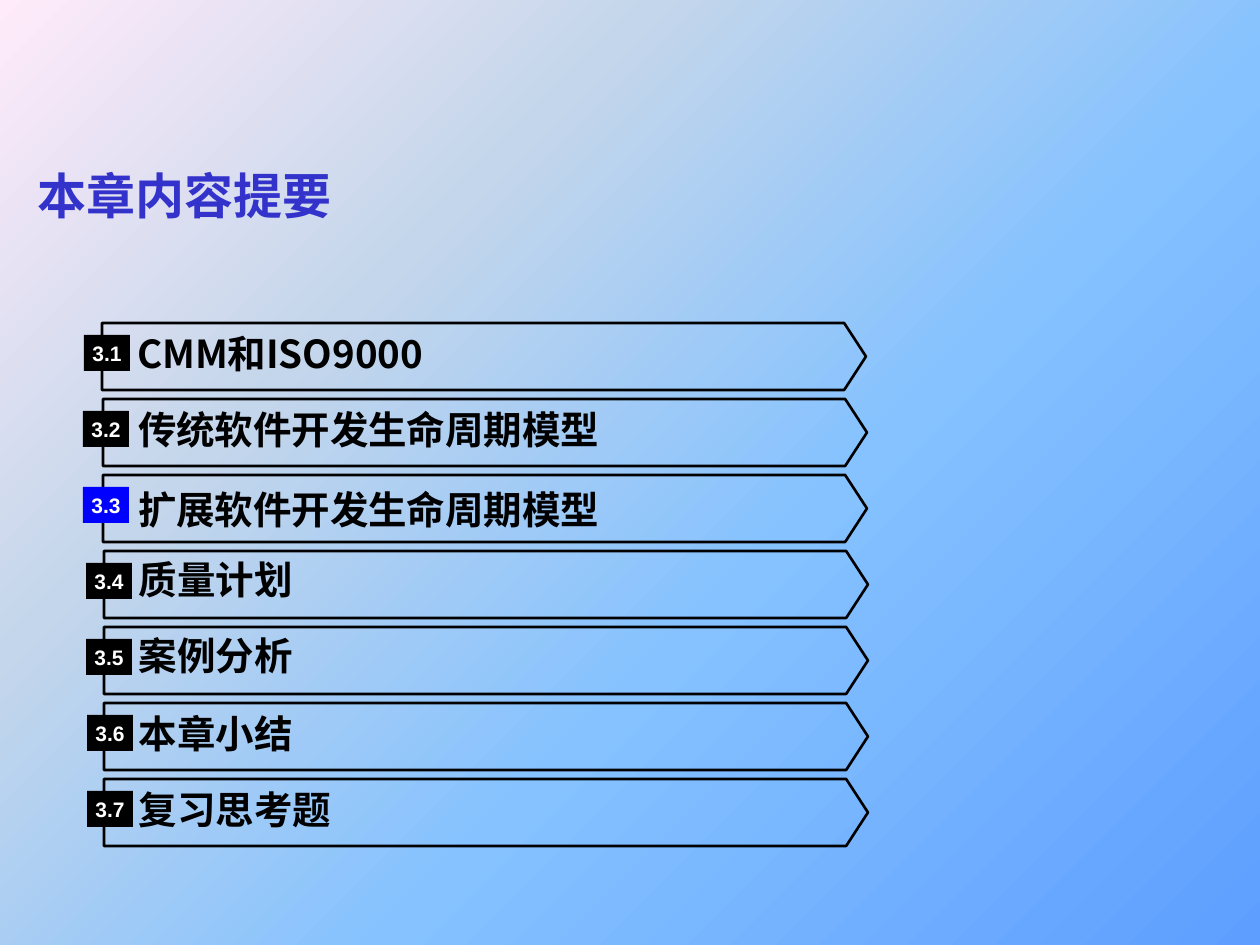
"""Build the chapter outline slide with seven numbered arrow bars."""
from lxml.etree import SubElement
from pptx import Presentation
from pptx.dml.color import RGBColor
from pptx.enum.shapes import MSO_SHAPE as Shape
from pptx.enum.text import MSO_ANCHOR as Anchor, MSO_AUTO_SIZE as AutoSize, PP_ALIGN as Align
from pptx.oxml.ns import qn
from pptx.util import Emu, Pt

PIXEL = 914400 // 126
CJK_FONT = "Noto Sans CJK SC"
BLACK, WHITE, TITLE_BLUE, CURRENT_BLUE = "000000", "FFFFFF", "3333CC", "0000FF"
GRADIENT = [(0, "5E9EFF"), (40, "85C2FF"), (70, "C4D6EB"), (100, "FFEBFA")]

ROW_TOP, ROW_PITCH = 323, 76
BADGE_DROP = 12
ROWS = [
    ("CMM和ISO9000", CJK_FONT, 102, 84, 5),
    ("传统软件开发生命周期模型", "Times New Roman", 103, 83, 5),
    ("扩展软件开发生命周期模型", "Times New Roman", 103, 83, 9),
    ("质量计划", "Times New Roman", 104, 86, 3),
    ("案例分析", "Times New Roman", 104, 86, 3),
    ("本章小结", "Times New Roman", 104, 87, 5),
    ("复习思考题", "Times New Roman", 104, 87, 5),
]


def color(value):
    return RGBColor.from_string(value)


def write(box, text, font, size, ink, align=Align.LEFT, margin=0):
    frame = box.text_frame
    settings = {"word_wrap": True, "vertical_anchor": Anchor.MIDDLE}
    for side in ("left", "top", "right", "bottom"):
        settings["margin_" + side] = Emu(margin * PIXEL)
    for name, value in settings.items():
        setattr(frame, name, value)
    para = frame.paragraphs[0]
    para.alignment = align
    span = para.add_run()
    span.text = text
    for name, value in {"name": font, "size": Pt(size), "bold": True}.items():
        setattr(span.font, name, value)
    span.font.color.rgb = color(ink)
    SubElement(span.font._element, qn("a:ea"), typeface=CJK_FONT)


deck = Presentation()
deck.slide_width, deck.slide_height = Emu(1260 * PIXEL), Emu(945 * PIXEL)
page = deck.slides.add_slide(deck.slide_layouts[6])

fill = page.background.fill
fill.gradient()
fill.gradient_angle = 135
stops = page.background._cSld.find(".//" + qn("a:gsLst"))
stops.clear()
for percent, shade in GRADIENT:
    stop = SubElement(stops, qn("a:gs"), pos=str(percent * 1000))
    SubElement(stop, qn("a:srgbClr"), val=shade)

title = page.shapes.add_textbox(*[Emu(n * PIXEL) for n in (25, 145, 1211, 100)])
write(title, "本章内容提要", "Arial", 28, TITLE_BLUE, margin=13)

for index, (topic, font, bar_left, badge_left, label_drop) in enumerate(ROWS):
    top = ROW_TOP + index * ROW_PITCH
    number = f"3.{index + 1}"

    bar = page.shapes.add_shape(
        Shape.PENTAGON, *[Emu(n * PIXEL) for n in (bar_left, top, 764, 67)])
    bar.adjustments[0] = 0.325
    bar.shadow.inherit = False
    bar.fill.background()
    bar.line.color.rgb = color(BLACK)
    bar.line.width = Pt(1.5)

    label = page.shapes.add_textbox(
        *[Emu(n * PIXEL) for n in (bar_left + 35, top + label_drop, 678, 50)])
    write(label, topic, font, 22, BLACK)
    label.text_frame.auto_size = AutoSize.SHAPE_TO_FIT_TEXT

    badge = page.shapes.add_shape(
        Shape.RECTANGLE, *[Emu(n * PIXEL) for n in (badge_left, top + BADGE_DROP, 46, 36)])
    badge.shadow.inherit = False
    badge.fill.solid()
    badge.fill.fore_color.rgb = color(CURRENT_BLUE if number == "3.3" else BLACK)
    badge.line.fill.background()
    write(badge, number, "Arial", 12, WHITE, Align.CENTER)

deck.save("out.pptx")
